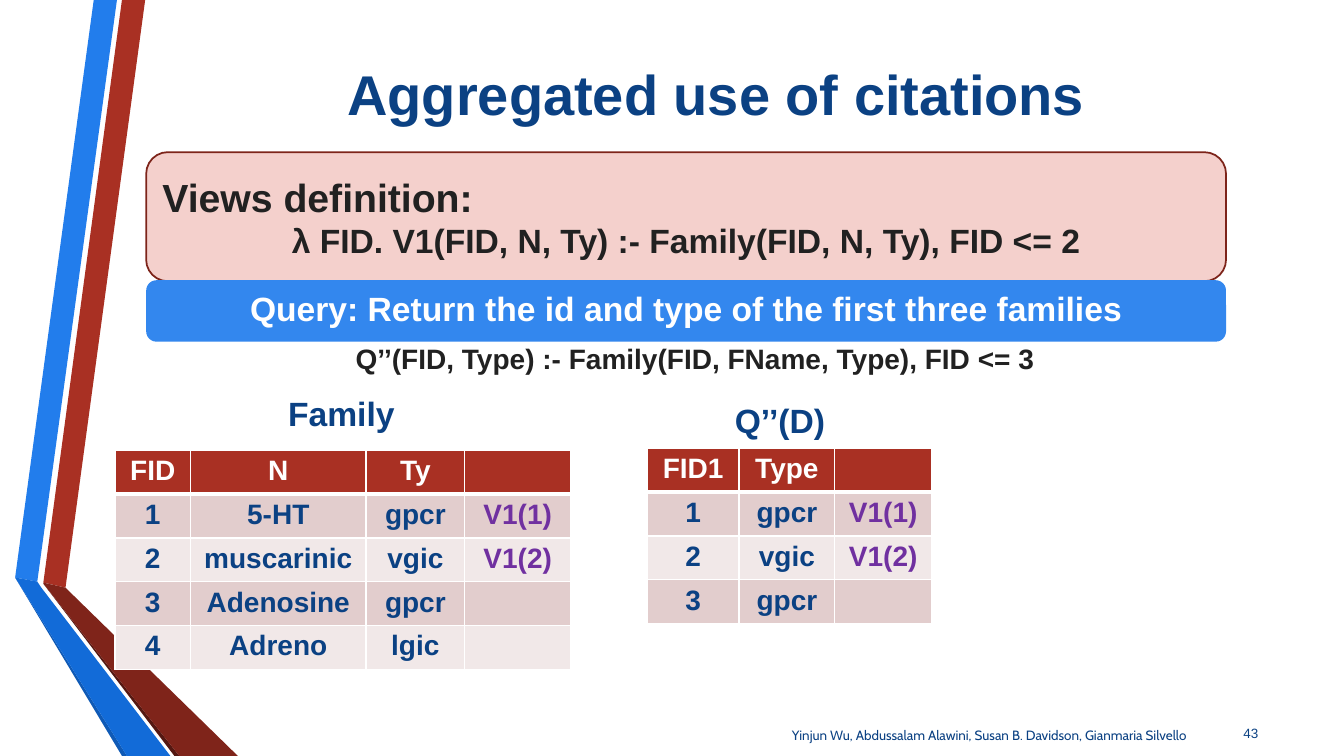
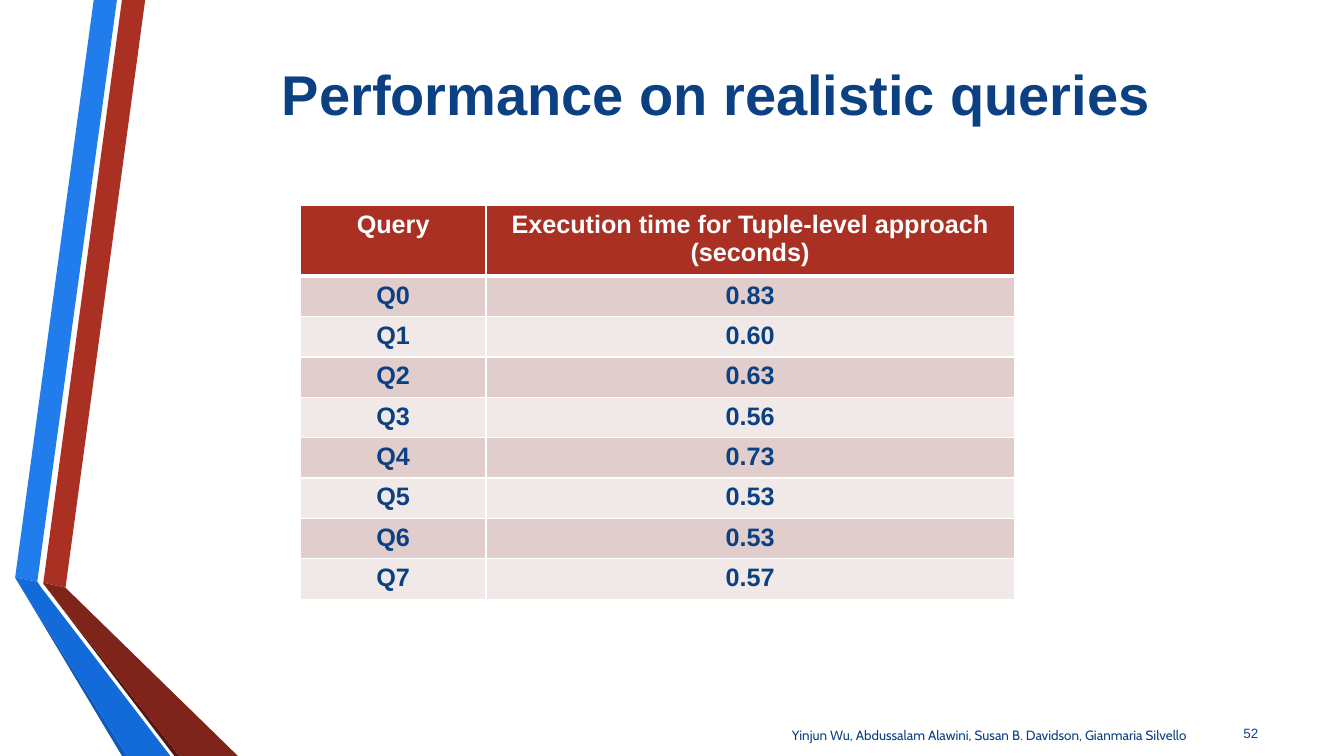
import lxml.etree
import pptx
import pptx.dml.color
import pptx.enum.shapes
import pptx.enum.text
import pptx.oxml.ns
import pptx.util

Inches = pptx.util.Inches
Pt = pptx.util.Pt
Rgb = pptx.dml.color.RGBColor.from_string
Align = pptx.enum.text.PP_ALIGN
Middle = pptx.enum.text.MSO_ANCHOR.MIDDLE
Round = pptx.enum.shapes.MSO_SHAPE.ROUNDED_RECTANGLE
qn = pptx.oxml.ns.qn


class Theme:
    face, foot_face = "Arial", "Cabin"
    navy, ink, white, purple = "0B4183", "212121", "FFFFFF", "7030A0"
    red, pink, rim, blue = "A93023", "F4D0CC", "7D241A", "3387EE"
    stripes = ("E2CDCD", "F1E8E8")
    title, lead, head, body, small, foot = 40, 28, 24, 20, 18, 9.6


def write(para, text, size, color, align=Align.CENTER, face=Theme.face, bold=True):
    para.alignment = align
    run = para.add_run()
    run.text = text
    style = {"name": face, "size": Pt(size), "bold": bold}
    for key, value in style.items():
        setattr(run.font, key, value)
    run.font.color.rgb = Rgb(color)


def grid(slide, left, top, widths, heights, rows, size):
    """Add a striped table with a red head row and white rules."""
    frame = slide.shapes.add_table(
        len(rows), len(widths), Inches(left), Inches(top),
        Inches(sum(widths)), Inches(sum(heights)))
    table = frame.table
    for col, width in zip(table.columns, widths):
        col.width = Inches(width)
    for r, (row, height) in enumerate(zip(rows, heights)):
        table.rows[r].height = Inches(height)
        for c, text in enumerate(row):
            cell = table.cell(r, c)
            cell.fill.solid()
            cell.fill.fore_color.rgb = Rgb(
                Theme.stripes[(r - 1) % 2] if r else Theme.red)
            if text:
                color = Theme.navy if r else Theme.white
                if text.startswith("V1"):
                    color = Theme.purple
                write(cell.text_frame.paragraphs[0], text, size, color)
            props = cell._tc.get_or_add_tcPr()
            rules = {"lnL": 1, "lnR": 1,
                     "lnT": 3 if r == 1 else 1, "lnB": 1 if r else 3}
            for spot, (side, points) in enumerate(rules.items()):
                rule = lxml.etree.Element(qn("a:" + side), w=str(Pt(points)))
                paint = lxml.etree.SubElement(rule, qn("a:solidFill"))
                lxml.etree.SubElement(paint, qn("a:srgbClr"), val=Theme.white)
                props.insert(spot, rule)


deck = pptx.Presentation()
deck.slide_width, deck.slide_height = Inches(13.33), Inches(7.5)
layout = deck.slide_layouts[5]
for holder in list(layout.placeholders):
    if holder.placeholder_format.idx:
        holder.element.getparent().remove(holder.element)

# Title and page number of each slide
slides = []
for title, page in (("Aggregated use of citations", "43"),
                    ("Performance on realistic queries", "52")):
    slide = deck.slides.add_slide(layout)
    head = slide.shapes.title
    place = {"left": 1.62, "top": 0.21, "width": 10.96, "height": 1.43}
    for key, value in place.items():
        setattr(head, key, Inches(value))
    head.text_frame.vertical_anchor = Middle
    write(head.text_frame.paragraphs[0], title, Theme.title, Theme.navy)
    box = slide.shapes.add_textbox(
        Inches(11.98), Inches(7.07), Inches(0.6), Inches(0.4))
    box.text_frame.word_wrap = True
    box.text_frame.vertical_anchor = Middle
    write(box.text_frame.paragraphs[0], page, Theme.foot, Theme.navy,
          Align.RIGHT, bold=False)
    slides.append(slide)
cite, perf = slides

# Ribbons and footer, drawn once and moved to the layout
ribbons = (
    ("A93023", [(0.43, 5.78), (0.65, 5.83), (1.44, 0), (1.21, 0)]),
    ("227DEC", [(1.16, 0), (0.93, 0), (0.15, 5.73), (0.37, 5.77)]),
    ("0F5AB6", [(0.15, 5.73), (1.21, 7.5), (1.26, 7.5)]),
    ("541812", [(0.43, 5.79), (1.73, 7.5), (1.78, 7.5)]),
    ("7F241A", [(0.43, 5.79), (1.78, 7.5), (2.36, 7.5), (0.65, 5.83),
                (0.43, 5.78)]),
    ("126BD8", [(1.69, 7.5), (0.41, 5.83), (0.37, 5.77), (0.15, 5.73),
                (1.26, 7.5)]),
)
shared = []
for color, points in ribbons:
    spots = [(Inches(x), Inches(y)) for x, y in points]
    path = cite.shapes.build_freeform(*spots[0])
    path.add_line_segments(spots[1:], close=True)
    shape = path.convert_to_shape()
    shape.shadow.inherit = False
    shape.fill.solid()
    shape.fill.fore_color.rgb = Rgb(color)
    shape.line.fill.background()
    shared.append(shape)
foot = cite.shapes.add_textbox(
    Inches(7.64), Inches(7.11), Inches(4.34), Inches(0.36))
foot.text_frame.word_wrap = True
foot.text_frame.vertical_anchor = Middle
write(foot.text_frame.paragraphs[0],
      "Yinjun Wu, Abdussalam Alawini, Susan B. Davidson, Gianmaria Silvello",
      Theme.foot, Theme.navy, face=Theme.foot_face, bold=False)
shared.append(foot)
for shape in shared:
    layout.element.cSld.spTree.append(shape.element)

# Citations: view and query panels
left, width = Inches(1.45), Inches(10.71)
panels = (
    (1.51, 1.28, Theme.pink, Theme.rim, Theme.ink, 1, (
        ("Views definition:", Theme.lead, Align.LEFT),
        ("λ FID. V1(FID, N, Ty) :- Family(FID, N, Ty), FID <= 2",
         Theme.head, Align.CENTER))),
    (2.78, 0.61, Theme.blue, None, Theme.white, 0.9, (
        ("Query: Return the id and type of the first three families",
         Theme.head, Align.CENTER),)),
)
for top, height, fill, rim, color, space, lines in panels:
    panel = cite.shapes.add_shape(Round, left, Inches(top), width, Inches(height))
    panel.shadow.inherit = False
    panel.fill.solid()
    panel.fill.fore_color.rgb = Rgb(fill)
    if rim:
        panel.line.color.rgb = Rgb(rim)
        panel.line.width = Pt(1.25)
    else:
        panel.line.fill.background()
    text = panel.text_frame
    text.vertical_anchor = Middle
    for n, (line, size, align) in enumerate(lines):
        para = text.add_paragraph() if n else text.paragraphs[0]
        para.line_spacing = space
        write(para, line, size, color, align)

rule = cite.shapes.add_textbox(left, Inches(3.4), width, Inches(0.51)).text_frame
insets = {"margin_left": 0.34, "margin_right": 0.16,
          "margin_top": 0.03, "margin_bottom": 0.03}
for key, value in insets.items():
    setattr(rule, key, Inches(value))
rule.word_wrap = True
rule.paragraphs[0].line_spacing = 0.9
write(rule.paragraphs[0], "Q’’(FID, Type) :- Family(FID, FName, Type), FID <= 3",
      Theme.body, Theme.ink)

# Citations: labelled tables
for text, x, y, wide in (("Family", 2.76, 3.85, 1.27), ("Q’’(D)", 7.19, 3.92, 1.1)):
    label = cite.shapes.add_textbox(Inches(x), Inches(y), Inches(wide), Inches(0.5))
    label.text_frame.word_wrap = False
    write(label.text_frame.paragraphs[0], text, Theme.head, Theme.navy, Align.LEFT)

grid(cite, 1.14, 4.47, [0.75, 1.74, 0.98, 1.05], [0.43] * 5, [
    ("FID", "N", "Ty", ""),
    ("1", "5-HT", "gpcr", "V1(1)"),
    ("2", "muscarinic", "vgic", "V1(2)"),
    ("3", "Adenosine", "gpcr", ""),
    ("4", "Adreno", "lgic", ""),
], Theme.body)
grid(cite, 6.42, 4.45, [0.91, 0.95, 0.96], [0.41] * 4, [
    ("FID1", "Type", ""),
    ("1", "gpcr", "V1(1)"),
    ("2", "vgic", "V1(2)"),
    ("3", "gpcr", ""),
], Theme.body)

# Performance: run times
times = ("0.83", "0.60", "0.63", "0.56", "0.73", "0.53", "0.53", "0.57")
rows = [("Query", "Execution time for Tuple-level approach (seconds)")]
rows += [(f"Q{n}", time) for n, time in enumerate(times)]
grid(perf, 2.98, 2.04, [1.84, 5.24], [0.65] + [0.38] * len(times), rows, Theme.small)

deck.save("out.pptx")
